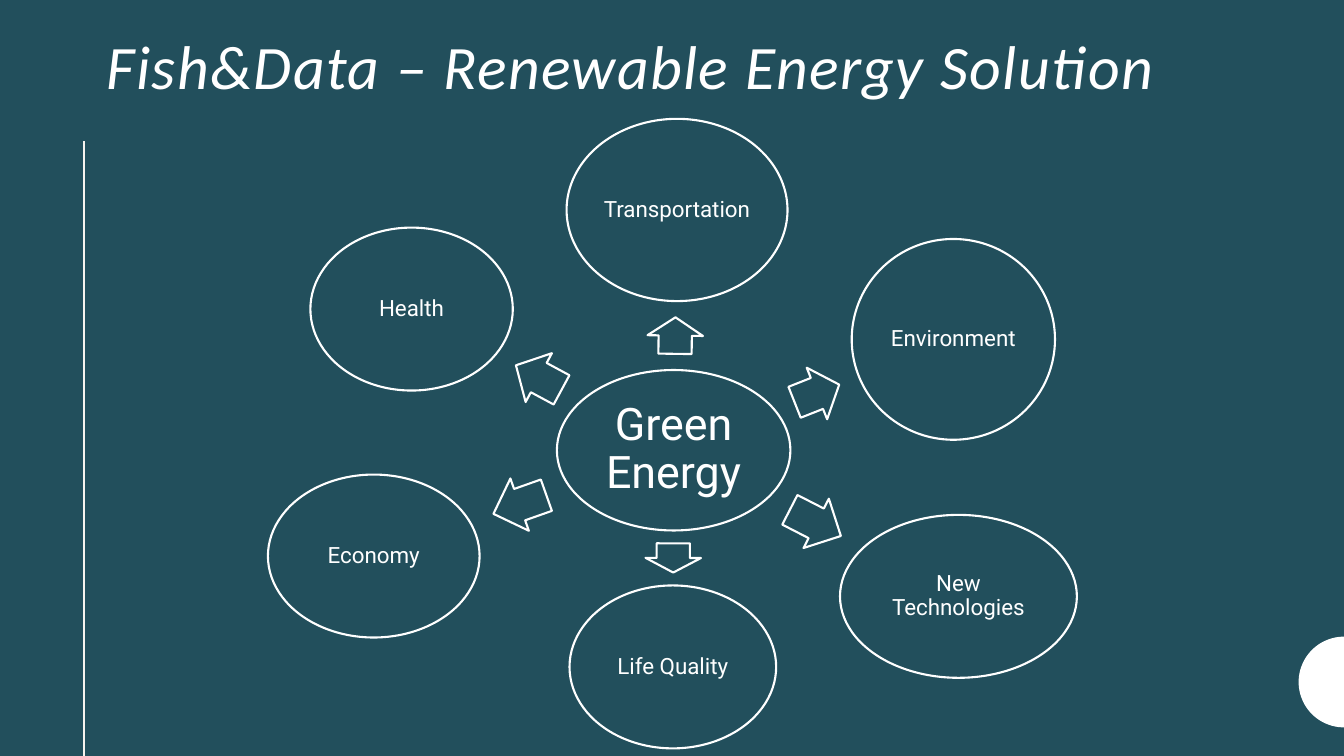
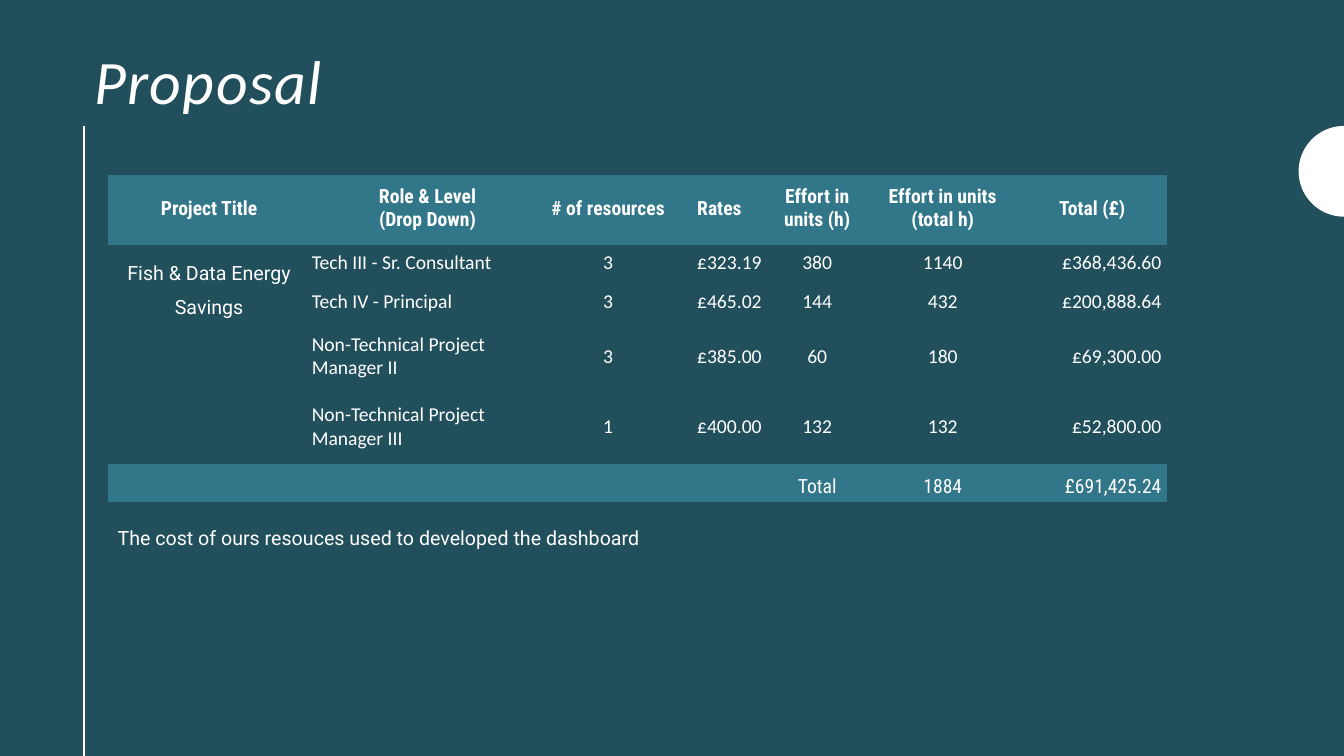
"""Build two slides on renewable energy: a topic wheel and a cost proposal."""
from math import atan2, cos, degrees, hypot, pi, sin

from lxml.etree import SubElement
from pptx import Presentation
from pptx.dml.color import RGBColor
from pptx.enum.shapes import MSO_CONNECTOR, MSO_SHAPE
from pptx.enum.text import MSO_ANCHOR, MSO_AUTO_SIZE, PP_ALIGN
from pptx.oxml.ns import qn
from pptx.util import Inches, Pt

TEAL = RGBColor(0x22, 0x4F, 0x5C)
BAND = RGBColor(0x32, 0x76, 0x89)
WHITE = RGBColor(0xFF, 0xFF, 0xFF)
CREAM = RGBColor(0xF6, 0xF4, 0xEF)

TITLE_FONT = "Calibri"
BODY_FONT = "Roboto"
TABLE_FONT = "Roboto Condensed"

COLUMNS, ROWS = 160, 90
CELL = Inches(1) / 12
STROKE = Pt(1.5)
NO_GRID_STYLE = "{2D5ABB26-0587-4C30-8999-92F81FD0307C}"

HUB = ("Green Energy", 80.2, 53.6, 27.8, 19.1)
TOPICS = [
    ("Transportation", 80.6, 25, 26.3, 21.7),
    ("Environment", 113.5, 40.4, 24.2, 23.9),
    ("New Technologies", 114.1, 71, 28.2, 19.4),
    ("Life Quality", 80.1, 79.4, 24.6, 19.4),
    ("Economy", 44.5, 66.2, 25.2, 19.4),
    ("Health", 49, 36.8, 24.1, 19.4),
]

COSTS = [
    ["Project Title", "Role & Level\n(Drop Down)", "# of resources", "Rates",
     "Effort in units (h)", "Effort in units (total h)", "Total (£)"],
    ["Fish & Data Energy Savings", "Tech III - Sr. Consultant", "3", "£323.19",
     "380", "1140", "£368,436.60"],
    ["", "Tech IV - Principal", "3", "£465.02", "144", "432", "£200,888.64"],
    ["", "Non-Technical Project Manager II", "3", "£385.00", "60", "180", "£69,300.00"],
    ["", "Non-Technical Project Manager III", "1", "£400.00", "132", "132", "£52,800.00"],
    ["", "", "", "", "Total", "1884", "£691,425.24"],
]
COST_COLUMNS = [24.2, 27.8, 15.2, 11.3, 12, 17.9, 17.7]
COST_ROWS = [8.4, 4.6, 4.6, 8.4, 8.4, 4.6]
COST_ALIGNS = [PP_ALIGN.CENTER, PP_ALIGN.LEFT, PP_ALIGN.CENTER, PP_ALIGN.RIGHT,
               PP_ALIGN.CENTER, PP_ALIGN.CENTER, PP_ALIGN.RIGHT]


def grid(*cells):
    """Turn grid cells into slide lengths."""
    return [round(cell * CELL) for cell in cells]


def rim(width, height, angle):
    """Distance from an ellipse's centre to its rim at an angle."""
    return 1 / hypot(2 * cos(angle) / width, 2 * sin(angle) / height)


class Deck:
    """Hold the shared style and the slide being drawn."""

    def __init__(self):
        """Start an empty deck with the shared background."""
        self.prs = Presentation()
        self.prs.slide_width, self.prs.slide_height = grid(COLUMNS, ROWS)
        fill = self.prs.slide_master.background.fill
        fill.solid()
        fill.fore_color.rgb = TEAL
        self.slide = None

    def new_slide(self, layout, title, title_box, rule_top, rule_color, disc_middle):
        """Add a slide with its title, side rule and edge disc."""
        self.slide = self.prs.slides.add_slide(self.prs.slide_layouts[layout])
        self.side_rule(rule_top, rule_color)
        self.edge_disc(disc_middle)
        heading = self.placeholder(self.slide.shapes.title, title, title_box, TITLE_FONT, 44.1)
        heading.line_spacing = 0.9
        for run in heading.runs:
            run.font.italic = True
            run._r.get_or_add_rPr().set("spc", "100")

    def set_text(self, paragraph, text, font, size, align=PP_ALIGN.LEFT, bold=False):
        """Set a paragraph's text and format its runs."""
        paragraph.text = text
        paragraph.alignment = align
        for run in paragraph.runs:
            run.font.name = font
            run.font.size = Pt(size)
            run.font.bold = bold
            run.font.color.rgb = WHITE
        return paragraph

    def placeholder(self, holder, text, box, font, size):
        """Move a placeholder and fill it with one paragraph."""
        holder.left, holder.top, holder.width, holder.height = grid(*box)
        frame = holder.text_frame
        frame.word_wrap = True
        frame.auto_size = MSO_AUTO_SIZE.NONE
        frame.vertical_anchor = MSO_ANCHOR.TOP
        return self.set_text(frame.paragraphs[0], text, font, size)

    def caption(self, text, box):
        """Fill the subtitle placeholder."""
        line = self.placeholder(self.slide.placeholders[1], text, box, BODY_FONT, 14)
        line.space_before = Pt(0)

    def side_rule(self, top, color):
        """Draw the vertical rule down to the slide's bottom."""
        rule = self.slide.shapes.add_connector(
            MSO_CONNECTOR.STRAIGHT, *grid(10, top, 10, ROWS))
        rule.line.color.rgb = color
        rule.line.width = STROKE
        SubElement(rule._element.spPr, qn("a:effectLst"))

    def edge_disc(self, middle, radius=5.4, steps=48):
        """Draw the half disc on the slide's right edge."""
        angles = [pi / 2 + pi * step / steps for step in range(steps + 1)]
        arc = [grid(COLUMNS + radius * cos(a), middle + radius * sin(a)) for a in angles]
        builder = self.slide.shapes.build_freeform(*arc[0])
        builder.add_line_segments(arc[1:], close=True)
        disc = builder.convert_to_shape()
        disc.shadow.inherit = False
        disc.fill.solid()
        disc.fill.fore_color.rgb = WHITE
        disc.line.fill.background()

    def outlined(self, kind, x, y, width, height):
        """Add an outlined shape centred on a point."""
        shape = self.slide.shapes.add_shape(
            kind, *grid(x - width / 2, y - height / 2, width, height))
        shape.shadow.inherit = False
        shape.fill.solid()
        shape.fill.fore_color.rgb = TEAL
        shape.line.color.rgb = WHITE
        shape.line.width = STROKE
        return shape

    def bubble(self, text, x, y, width, height, size=16):
        """Draw a labelled ellipse."""
        frame = self.outlined(MSO_SHAPE.OVAL, x, y, width, height).text_frame
        frame.word_wrap = True
        frame.vertical_anchor = MSO_ANCHOR.MIDDLE
        frame.margin_left = frame.margin_right = Inches(0.02)
        frame.margin_top = frame.margin_bottom = Inches(0.02)
        label = self.set_text(frame.paragraphs[0], text, BODY_FONT, size, PP_ALIGN.CENTER)
        label.line_spacing = 0.9

    def spoke(self, hub, topic):
        """Draw a block arrow midway in the gap between two ellipses."""
        _, hub_x, hub_y, *hub_size = hub
        _, x, y, *topic_size = topic
        angle = atan2(y - hub_y, x - hub_x)
        start = rim(*hub_size, angle)
        gap = hypot(x - hub_x, y - hub_y) - start - rim(*topic_size, angle)
        reach = start + gap / 2
        arrow = self.outlined(MSO_SHAPE.RIGHT_ARROW, hub_x + reach * cos(angle),
                              hub_y + reach * sin(angle), 0.53 * gap, 6.6)
        arrow.adjustments[0] = 0.6
        arrow.adjustments[1] = 0.5
        arrow.rotation = degrees(angle) % 360

    def wheel(self, hub, topics):
        """Draw a hub with an arrow to each topic."""
        self.bubble(*hub, size=32)
        for topic in topics:
            self.spoke(hub, topic)
            self.bubble(*topic)

    def cost_table(self, left, top, columns, rows, data):
        """Draw the cost table with banded header and total rows."""
        table = self.slide.shapes.add_table(
            len(rows), len(columns), *grid(left, top, sum(columns), sum(rows))).table
        table._tbl.tblPr.find(qn("a:tableStyleId")).text = NO_GRID_STYLE
        for column, width in zip(table.columns, grid(*columns)):
            column.width = width
        for row, height in zip(table.rows, grid(*rows)):
            row.height = height
        last = len(rows) - 1
        for r, values in enumerate(data):
            for c, value in enumerate(values):
                self.cost_cell(table.cell(r, c), value, r == 0, r == last, COST_ALIGNS[c])
        project = table.cell(1, 0)
        project.merge(table.cell(last - 1, 0))
        project.vertical_anchor = MSO_ANCHOR.TOP
        project.margin_left = project.margin_right = Inches(0.1)
        project.margin_top = project.margin_bottom = Inches(0.05)
        name = project.text_frame.paragraphs[0]
        name.line_spacing = 1.5
        name.runs[0].font.name = BODY_FONT

    def cost_cell(self, cell, value, header, total, align):
        """Fill and format one table cell."""
        if header or total:
            cell.fill.solid()
            cell.fill.fore_color.rgb = BAND
        else:
            cell.fill.background()
        if header:
            align = PP_ALIGN.CENTER
        cell.vertical_anchor = MSO_ANCHOR.BOTTOM if total else MSO_ANCHOR.MIDDLE
        cell.margin_left = cell.margin_top = Inches(0.01)
        cell.margin_right = Inches(0.05 if align == PP_ALIGN.RIGHT else 0.01)
        cell.margin_bottom = Inches(0.04)
        font = TABLE_FONT if header or total else TITLE_FONT
        self.set_text(cell.text_frame.paragraphs[0], value, font, 14, align, header)


def main():
    """Draw both slides and save the deck."""
    deck = Deck()
    deck.new_slide(5, "Fish&Data – Renewable Energy Solution", (11.5, 3.7, 138.8, 12.2),
                   16.8, CREAM, 81.2)
    deck.wheel(HUB, TOPICS)
    deck.new_slide(0, "Proposal", (10, 5.5, 57.2, 10.4), 15, WHITE, 20.4)
    deck.cost_table(12.8, 20.8, COST_COLUMNS, COST_ROWS, COSTS)
    deck.caption("The cost of ours resouces used to developed the dashboard",
                 (12.8, 62, 124.7, 5.4))
    deck.prs.save("out.pptx")


if __name__ == "__main__":
    main()
